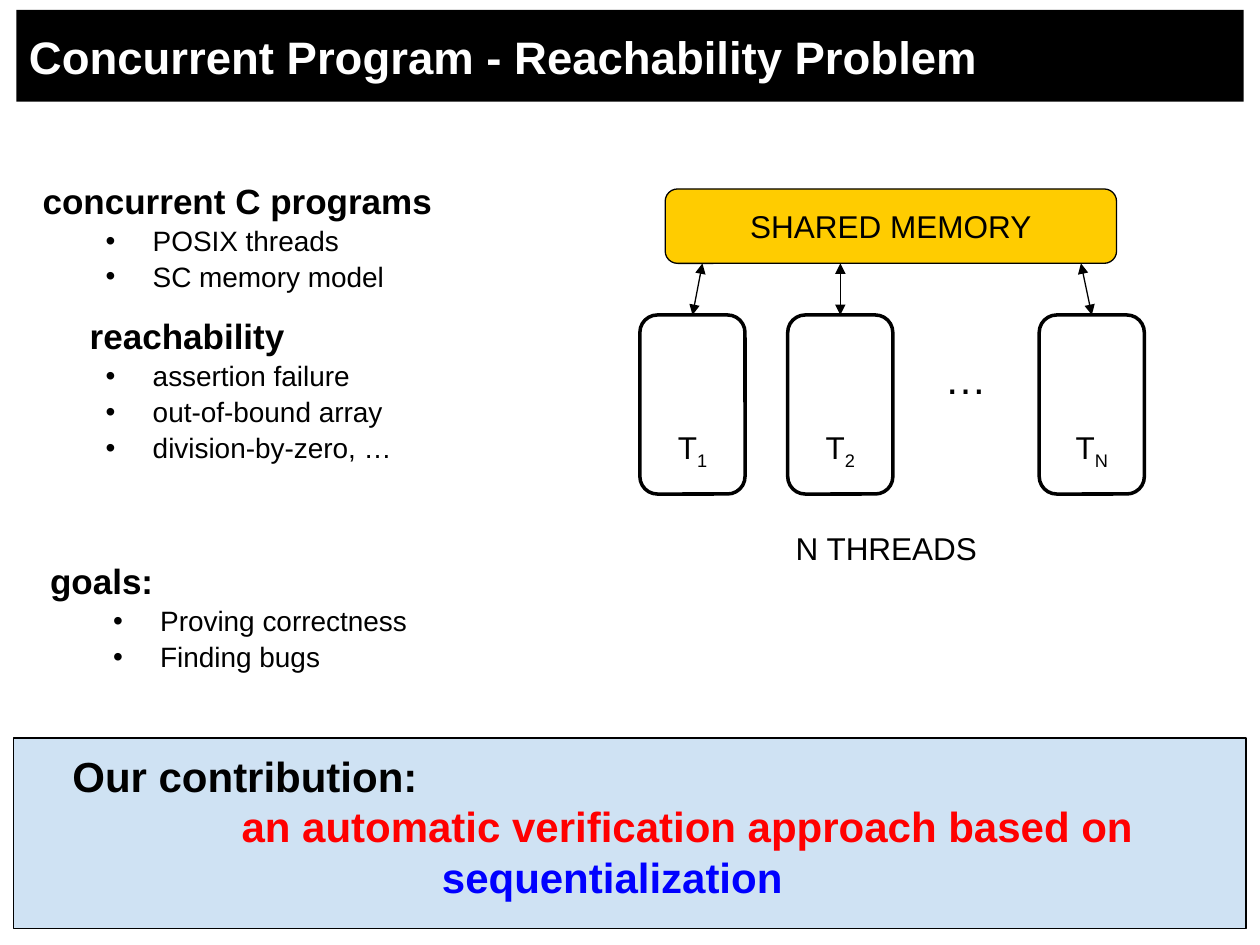
from lxml import etree
from pptx import Presentation
from pptx.dml.color import RGBColor
from pptx.enum import shapes, text
from pptx.oxml import ns
from pptx.util import Cm, Pt

BLACK, WHITE = "000000", "FFFFFF"
LEFT, CENTER = text.PP_ALIGN.LEFT, text.PP_ALIGN.CENTER
TOP, MIDDLE = text.MSO_ANCHOR.TOP, text.MSO_ANCHOR.MIDDLE


def color(hex_string):
    return RGBColor.from_string(hex_string)


def box(left, top, width, height):
    return [Cm(length) for length in (left, top, width, height)]


def add_xml(parent, tag, **attributes):
    return etree.SubElement(parent, ns.qn(tag), attributes)


def write(frame, words, size=18, hex_color=BLACK, bold=False, align=LEFT, indent=0,
          hanging=0, bullet=None, before=0, spacing=None, subscript=None):
    """Add one paragraph, using the empty first one if there is one."""
    paragraph = frame.paragraphs[0]
    if paragraph.runs:
        paragraph = frame.add_paragraph()
    paragraph.alignment = align
    paragraph.space_before = Pt(before)
    if spacing:
        paragraph.line_spacing = spacing
    properties = paragraph._p.get_or_add_pPr()
    properties.set("marL", str(Cm(indent)))
    properties.set("indent", str(Cm(-hanging)))
    if bullet:
        add_xml(properties, "a:buFont", typeface="Arial")
        add_xml(properties, "a:buChar", char=bullet)
    else:
        add_xml(properties, "a:buNone")
    for part in filter(None, (words, subscript)):
        run = paragraph.add_run()
        run.text = part
        run.font.name = "Arial"
        run.font.size = Pt(size)
        run.font.bold = bold
        run.font.color.rgb = color(hex_color)
    if subscript:
        run.font._element.set("baseline", "-25000")


def set_frame(shape, anchor=TOP):
    frame = shape.text_frame
    frame.word_wrap = True
    frame.auto_size = text.MSO_AUTO_SIZE.NONE
    frame.vertical_anchor = anchor
    return frame


def add_text(slide, area, anchor=TOP):
    return set_frame(slide.shapes.add_textbox(*box(*area)), anchor)


def add_block(slide, kind, area, fill, line_width):
    shape = slide.shapes.add_shape(kind, *box(*area))
    shape.shadow.inherit = False
    shape.fill.solid()
    shape.fill.fore_color.rgb = color(fill)
    shape.line.color.rgb = color(BLACK)
    shape.line.width = Pt(line_width)
    return shape


def add_double_arrow(slide, start, end):
    arrow = slide.shapes.add_connector(
        shapes.MSO_CONNECTOR.STRAIGHT, *[Cm(length) for length in (*start, *end)])
    arrow.line.color.rgb = color(BLACK)
    arrow.line.width = Pt(0.75)
    line = arrow.line._get_or_add_ln()
    add_xml(line, "a:headEnd", type="triangle")
    add_xml(line, "a:tailEnd", type="triangle")
    add_xml(arrow._element.spPr, "a:effectLst")


def place_title(slide, area):
    title = slide.shapes.title
    title.left, title.top, title.width, title.height = box(*area)
    title.fill.solid()
    title.fill.fore_color.rgb = color(BLACK)
    write(set_frame(title, MIDDLE), "Concurrent Program - Reachability Problem",
          size=26, hex_color=WHITE, bold=True)


def place_topics(slide, area, topics):
    """Each topic is a heading, its indent, its space before and its points."""
    frame = add_text(slide, area)
    for heading, indent, before, points in topics:
        write(frame, heading, size=20, bold=True, indent=indent, before=before, spacing=0.9)
        for point in points:
            write(frame, point, size=16, indent=2.22, hanging=0.95, bullet="•",
                  before=3.2, spacing=0.9)


def place_threads(slide, area):
    left, top, width, height = area
    thread_width, thread_height = 2.12, 3.61
    thread_top = top + 2.54
    rounded = shapes.MSO_SHAPE.ROUNDED_RECTANGLE

    # Shared memory
    memory = add_block(slide, rounded, (left + 0.51, top, 9.1, 1.5), "FFCC00", 0.75)
    write(set_frame(memory, MIDDLE), "SHARED MEMORY", align=CENTER)

    # Threads with their arrows to the memory; lean is the sideways shift of an arrow
    threads = [("1", 0, 0.2), ("2", 2.98, 0), ("N", width - thread_width, -0.22)]
    for number, offset, lean in threads:
        x = left + offset
        middle = x + thread_width / 2
        add_block(slide, rounded, (x, thread_top, thread_width, thread_height), WHITE, 2)
        write(add_text(slide, (x + 0.21, thread_top + 2.16, 1.7, 1.02)),
              "T", subscript=number, align=CENTER)
        add_double_arrow(slide, (middle, thread_top), (middle + lean, top + 1.5))

    # Gap between the threads, and caption
    write(add_text(slide, (left + 5.08, top + 3.18, 2.97, 1.27)), "…", size=24, align=CENTER)
    write(add_text(slide, (left + 2.89, top + height - 1.27, 5.9, 1.27), MIDDLE), "N THREADS")


def place_contribution(slide, area):
    panel = add_block(slide, shapes.MSO_SHAPE.RECTANGLE, area, "CFE2F3", 0.75)
    frame = set_frame(panel)
    frame.margin_top = frame.margin_bottom = Cm(0.25)
    lines = [("Our contribution:", BLACK, 0.93),
             ("an automatic verification approach based on", "FF0000", 4.34),
             ("sequentialization", "0000FF", 8.38)]
    for words, hex_color, indent in lines:
        write(frame, words, size=24, hex_color=hex_color, bold=True, indent=indent)


def main():
    presentation = Presentation()
    presentation.slide_width, presentation.slide_height = Cm(25.4), Cm(19.05)
    slide = presentation.slides.add_slide(presentation.slide_layouts.get_by_name("Title Only"))

    place_title(slide, (0.33, 0.2, 24.74, 1.85))
    place_topics(slide, (0.61, 3.58, 10.16, 7.77), [
        ("concurrent C programs", 0, 4, ["POSIX threads", "SC memory model"]),
        ("reachability", 0.95, 15,
         ["assertion failure", "out-of-bound array", "division-by-zero, …"]),
    ])
    place_threads(slide, (12.9, 3.81, 10.17, 7.87))
    place_topics(slide, (0.76, 11.25, 20.65, 3.3), [
        ("goals:", 0, 4, ["Proving correctness", "Finding bugs"]),
    ])
    place_contribution(slide, (0.28, 14.88, 24.84, 3.84))
    presentation.save("out.pptx")


if __name__ == "__main__":
    main()
